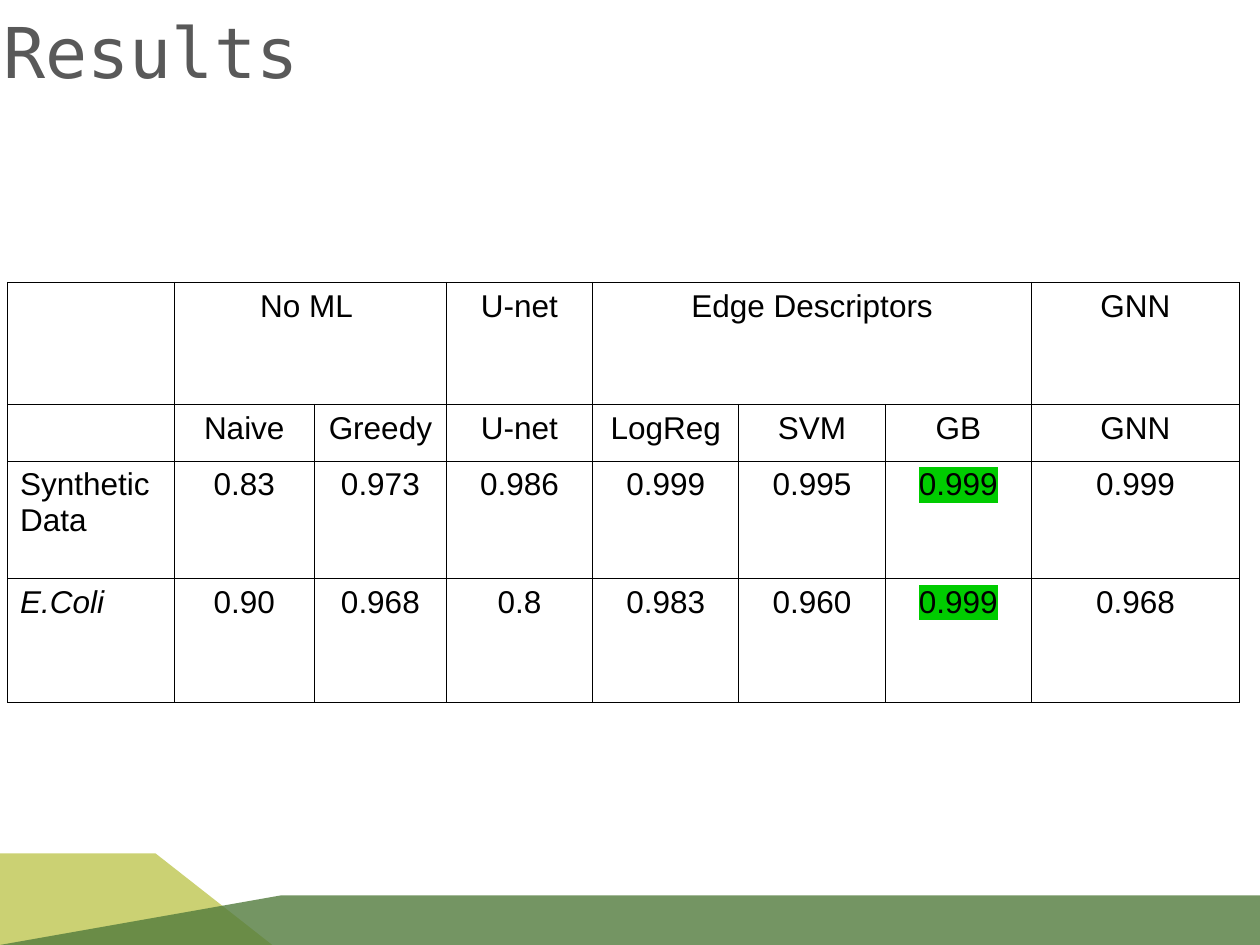
from dataclasses import dataclass

from lxml.etree import SubElement
from pptx import Presentation
from pptx.dml.color import RGBColor as RGB
from pptx.enum.text import MSO_ANCHOR as Anchor, MSO_AUTO_SIZE as AutoSize, PP_ALIGN as Align
from pptx.oxml import parse_xml
from pptx.oxml.ns import nsdecls, qn
from pptx.util import Pt


@dataclass(frozen=True)
class Theme:
    title_font: str = "DejaVu Sans Mono"
    table_font: str = "Arial"
    title_size: float = 40
    table_size: float = 18
    title_color: str = "595959"
    ink: str = "000000"
    highlight: str = "00CC00"
    lime: str = "CBD173"
    green: str = "527B3D"
    border_width: float = 0.57


def write_text(frame, text, *, font, size, color, align=Align.LEFT,
               italic=False, highlight=None):
    para = frame.paragraphs[0]
    para.alignment = align
    span = para.add_run()
    span.text = text
    span.font.name = font
    span.font.size = Pt(size)
    span.font.italic = italic
    span.font.color.rgb = RGB.from_string(color)
    if highlight:
        mark = parse_xml(f'<a:highlight {nsdecls("a")}><a:srgbClr val="{highlight}"/></a:highlight>')
        span.font._element.find(qn("a:solidFill")).addnext(mark)


class SlideBuilder:
    def __init__(self, slide, theme):
        self.slide = slide
        self.theme = theme

    def title(self, text, left, top, width, height):
        box = self.slide.shapes.title
        box.left, box.top, box.width, box.height = map(Pt, (left, top, width, height))
        frame = box.text_frame
        frame.margin_left = frame.margin_right = frame.margin_top = frame.margin_bottom = 0
        frame.vertical_anchor = Anchor.MIDDLE
        frame.auto_size = AutoSize.NONE
        write_text(frame, text, font=self.theme.title_font,
                   size=self.theme.title_size, color=self.theme.title_color)

    def polygon(self, points, color, opacity=100):
        start, *corners = [(Pt(x), Pt(y)) for x, y in points]
        outline = self.slide.shapes.build_freeform(*start)
        outline.add_line_segments(corners, close=True)
        shape = outline.convert_to_shape()
        shape.shadow.inherit = False
        shape.line.fill.background()
        shape.fill.solid()
        shape.fill.fore_color.rgb = RGB.from_string(color)
        if opacity < 100:
            tint = shape.fill._xPr.find(qn("a:solidFill"))[0]
            SubElement(tint, qn("a:alpha"), val=str(opacity * 1000))

    def table(self, rows, left, top, widths, heights, merges, italics, highlights):
        """Draw a grid; merges are (row, first column, last column)."""
        grid = self.slide.shapes.add_table(
            len(heights), len(widths), Pt(left), Pt(top),
            Pt(sum(widths)), Pt(sum(heights))).table
        grid.first_row = grid.horz_banding = False
        for column, width in zip(grid.columns, widths):
            column.width = Pt(width)
        for row, height in zip(grid.rows, heights):
            row.height = Pt(height)
        for r, row in enumerate(rows):
            for c, text in enumerate(row):
                cell = grid.cell(r, c)
                cell.fill.background()
                self.border(cell)
                if text:
                    write_text(cell.text_frame, text, font=self.theme.table_font,
                               size=self.theme.table_size, color=self.theme.ink,
                               align=Align.CENTER if c else Align.LEFT,
                               italic=text in italics,
                               highlight=self.theme.highlight if (r, c) in highlights else None)
        for r, first, last in merges:
            grid.cell(r, first).merge(grid.cell(r, last))

    def border(self, cell):
        properties = cell._tc.get_or_add_tcPr()
        for position, side in enumerate("LRTB"):
            properties.insert(position, parse_xml(
                f'<a:ln{side} {nsdecls("a")} w="{Pt(self.theme.border_width)}"><a:solidFill>'
                f'<a:srgbClr val="{self.theme.ink}"/></a:solidFill></a:ln{side}>'))


def main():
    deck = Presentation()
    deck.slide_width, deck.slide_height = Pt(720), Pt(540)
    theme = Theme()
    page = SlideBuilder(deck.slides.add_slide(deck.slide_layouts[5]), theme)

    page.polygon([(0, 540), (0, 487.6), (88.8, 487.6), (155.6, 540)], theme.lime)
    page.polygon([(0, 540), (160.4, 511.7), (720, 511.7), (720, 540)], theme.green, opacity=80)
    page.title("Results", 2, 1.5, 595.5, 54.7)
    page.table(
        [
            ["", "No ML ", "", "U-net", "Edge Descriptors", "", "", "GNN"],
            ["", "Naive", "Greedy", "U-net", "LogReg", "SVM", "GB", "GNN"],
            ["Synthetic Data", "0.83", "0.973", "0.986", "0.999", "0.995", "0.999", "0.999"],
            ["E.Coli", "0.90", "0.968", "0.8", "0.983", "0.960", "0.999", "0.968"],
        ],
        left=4.3, top=161.3,
        widths=[95.2, 80.2, 75.4, *[83.6] * 4, 118.8],
        heights=[69.8, 32.4, 67, 71],
        merges=[(0, 1, 2), (0, 4, 6)],
        italics={"E.Coli"},
        highlights={(2, 6), (3, 6)},
    )
    deck.save("out.pptx")


if __name__ == "__main__":
    main()
